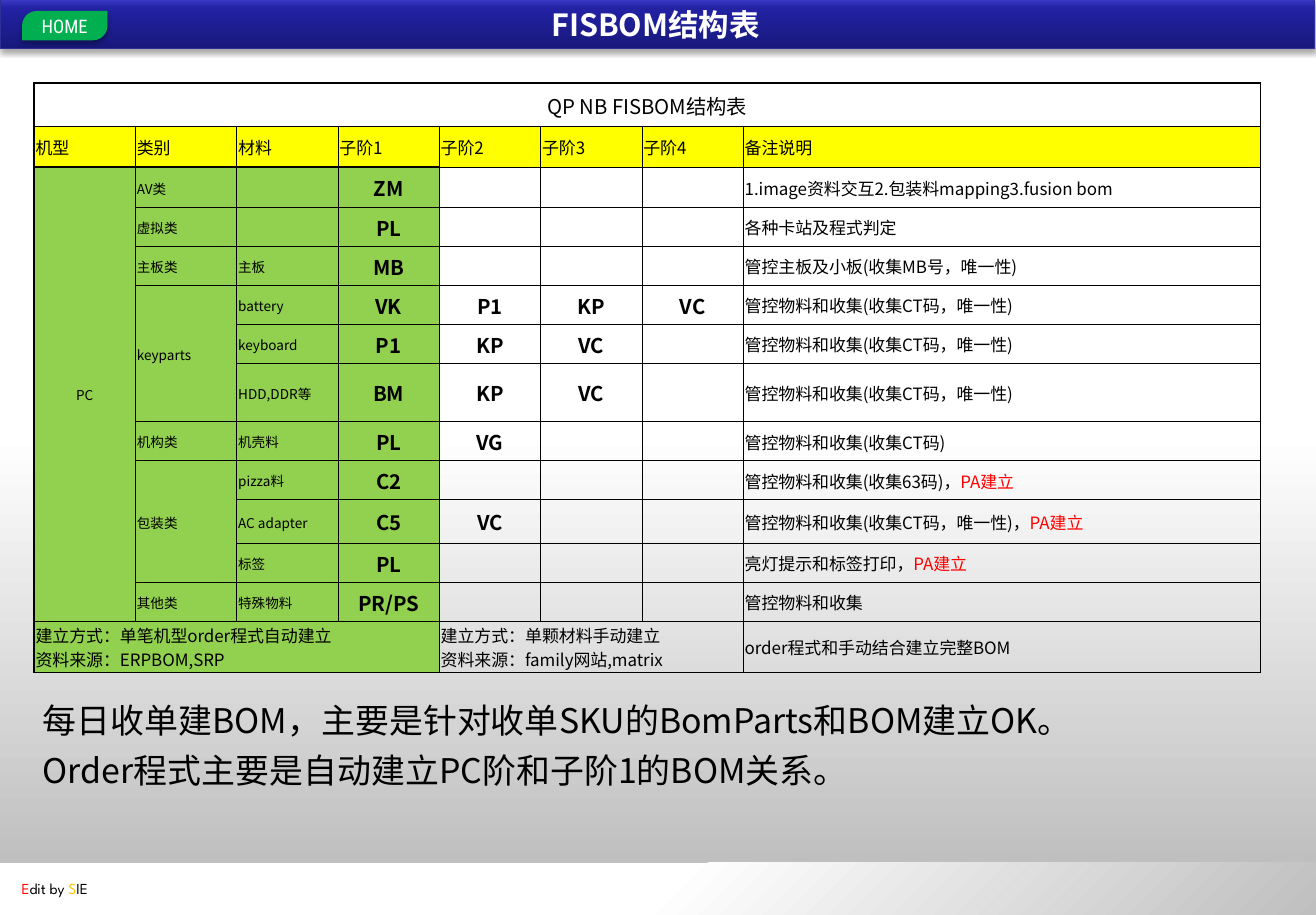
from lxml.etree import SubElement
from pptx import Presentation
from pptx.dml.color import RGBColor
from pptx.enum.shapes import MSO_SHAPE
from pptx.enum.text import MSO_ANCHOR, PP_ALIGN
from pptx.oxml import parse_xml
from pptx.oxml.ns import nsdecls, qn
from pptx.util import Cm, Pt

COLORS = {
    "black": "000000", "white": "FFFFFF", "red": "FF0000", "gold": "FFC000",
    "yellow": "FFFF00", "lime": "92D050", "button": "00B050", "gray": "BFBFBF",
    "navy": "18187C", "blue": "2222A3", "bright": "3C3CCB", "outline": "2F2F98",
}
FONT = "Noto Sans CJK SC"
TITLE = "FISBOM结构表"
FOOTER = [("E", "red"), ("dit by ", "black"), ("S", "gold"), ("IE", "black")]
NOTES = [
    "每日收单建BOM，主要是针对收单SKU的BomParts和BOM建立OK。",
    "Order程式主要是自动建立PC阶和子阶1的BOM关系。",
]
RED_TEXT = "PA建立"
UNIQUE_CT = "管控物料和收集(收集CT码，唯一性)"
ROWS = [
    ["QP NB FISBOM结构表", "", "", "", "", "", "", ""],
    ["机型", "类别", "材料", "子阶1", "子阶2", "子阶3", "子阶4", "备注说明"],
    ["PC", "AV类", "", "ZM", "", "", "", "1.image资料交互2.包装料mapping3.fusion bom"],
    ["", "虚拟类", "", "PL", "", "", "", "各种卡站及程式判定"],
    ["", "主板类", "主板", "MB", "", "", "", "管控主板及小板(收集MB号，唯一性)"],
    ["", "keyparts", "battery", "VK", "P1", "KP", "VC", UNIQUE_CT],
    ["", "", "keyboard", "P1", "KP", "VC", "", UNIQUE_CT],
    ["", "", "HDD,DDR等", "BM", "KP", "VC", "", UNIQUE_CT],
    ["", "机构类", "机壳料", "PL", "VG", "", "", "管控物料和收集(收集CT码)"],
    ["", "包装类", "pizza料", "C2", "", "", "", "管控物料和收集(收集63码)，PA建立"],
    ["", "", "AC adapter", "C5", "VC", "", "", UNIQUE_CT + "，PA建立"],
    ["", "", "标签", "PL", "", "", "", "亮灯提示和标签打印，PA建立"],
    ["", "其他类", "特殊物料", "PR/PS", "", "", "", "管控物料和收集"],
    ["建立方式：单笔机型order程式自动建立\n资料来源：ERPBOM,SRP", "", "", "",
     "建立方式：单颗材料手动建立\n资料来源：family网站,matrix", "", "",
     "order程式和手动结合建立完整BOM"],
]
MERGES = [((0, 0), (0, 7)), ((2, 0), (12, 0)), ((5, 1), (7, 1)),
          ((9, 1), (11, 1)), ((13, 0), (13, 3)), ((13, 4), (13, 6))]
COLUMN_WIDTHS = [2.11] * 7 + [10.77]
ROW_HEIGHTS = [0.91, 0.84, 0.84, 0.81, 0.81, 0.81, 0.81,
               1.22, 0.81, 0.81, 0.91, 0.81, 0.81, 1.07]
LAST_ROW, LAST_COLUMN = len(ROWS) - 1, len(COLUMN_WIDTHS) - 1


def rgb(name):
    return RGBColor.from_string(COLORS[name])


def set_font(para, size, color="black", bold=False, name=FONT):
    font = para.font
    font.size, font.bold, font.name = Pt(size), bold, name
    font.color.rgb = rgb(color)
    SubElement(para._p.pPr.find(qn("a:defRPr")), qn("a:ea"), typeface=name)


def add_panel(page, kind, left, top, width, height):
    panel = page.shapes.add_shape(kind, Cm(left), Cm(top), Cm(width), Cm(height))
    panel.shadow.inherit = False
    panel.line.fill.background()
    return panel


def set_gradient(panel, stops, direction):
    marks = "".join(f'<a:gs pos="{position * 1000}"><a:srgbClr val="{COLORS[color]}"/></a:gs>'
                    for position, color in stops)
    gradient = parse_xml(f'<a:gradFill {nsdecls("a")} rotWithShape="1">'
                         f'<a:gsLst>{marks}</a:gsLst>{direction}</a:gradFill>')
    panel._element.spPr.insert(2, gradient)


def set_shadow(panel, blur, distance, opacity):
    effects = panel._element.spPr.find(qn("a:effectLst"))
    shadow = SubElement(effects, qn("a:outerShdw"), blurRad=str(Pt(blur)),
                        dist=str(Pt(distance)), dir="5400000", rotWithShape="0")
    color = SubElement(shadow, qn("a:srgbClr"), val=COLORS["black"])
    SubElement(color, qn("a:alpha"), val=str(opacity * 1000))


def add_frame(page):
    """Add the background, footer, header bar and home button."""
    upward = '<a:lin ang="16200000" scaled="0"/>'
    corner = '<a:path path="circle"><a:fillToRect l="100000" t="100000"/></a:path>'
    fade = [(0, "gray"), (50, "white")]
    body = add_panel(page, MSO_SHAPE.RECTANGLE, 0, 0, 27.41, 18.03)
    set_gradient(body, fade, upward)
    strip = add_panel(page, MSO_SHAPE.RECTANGLE, 0, 17.96, 27.41, 1.19)
    set_gradient(strip, fade, corner)

    footer = page.shapes.add_textbox(Cm(0.2), Cm(18.19), Cm(4.7), Cm(0.61))
    footer.text_frame.word_wrap = True
    para = footer.text_frame.paragraphs[0]
    set_font(para, 9, name="League Spartan")
    for text, color in FOOTER:
        span = para.add_run()
        span.text = text
        span.font.color.rgb = rgb(color)

    header = add_panel(page, MSO_SHAPE.RECTANGLE, 0, -0.03, 27.38, 1.04)
    set_gradient(header, [(0, "navy"), (80, "blue"), (100, "bright")], upward)
    header.line.color.rgb = rgb("outline")
    header.line.width = Pt(0.75)
    set_shadow(header, 3.1, 1.8, 35)

    button = add_panel(page, MSO_SHAPE.ROUND_2_DIAG_RECTANGLE, 0.46, 0.23, 1.78, 0.61)
    button.adjustments[0], button.adjustments[1] = 0.5, 0
    button.fill.solid()
    button.fill.fore_color.rgb = rgb("button")
    set_shadow(button, 3.5, 2.2, 32)
    button.text_frame.text = "HOME"
    button.text_frame.vertical_anchor = MSO_ANCHOR.MIDDLE
    para = button.text_frame.paragraphs[0]
    para.alignment = PP_ALIGN.CENTER
    set_font(para, 11, "white", name="Roboto Condensed")


def set_borders(cell, row, column):
    """Draw thin borders, heavier around the table and the green block."""
    bottom, right = row + cell.span_height - 1, column + cell.span_width - 1
    heavy = {
        "a:lnL": column == 0 or (column == 4 and row > 1),
        "a:lnR": right == LAST_COLUMN or (right == 3 and row > 1),
        "a:lnT": row == 0 or (row == 2 and column < 4),
        "a:lnB": bottom == LAST_ROW or (row == 1 and column < 4),
    }
    for tag, is_heavy in heavy.items():
        line = SubElement(cell._tc.get_or_add_tcPr(), qn(tag), w=str(Pt(1 if is_heavy else 0.5)))
        fill = SubElement(line, qn("a:solidFill"))
        SubElement(fill, qn("a:srgbClr"), val=COLORS["black"])


def text_style(row, column):
    """Return size, bold and centred for a cell."""
    if row == 0:
        return 12, False, True
    if row in (1, LAST_ROW) or column == LAST_COLUMN:
        return 10, False, False
    if column < 3:
        return 8, False, column == 0
    return 12, True, True


def fill_cell(cell, row, column, text):
    set_borders(cell, row, column)
    if row == 1 or (row > 1 and column < 4):
        cell.fill.solid()
        cell.fill.fore_color.rgb = rgb("yellow" if row == 1 else "lime")
    else:
        cell.fill.background()
    cell.margin_left = cell.margin_right = cell.margin_top = Cm(0.03)
    cell.margin_bottom = 0
    cell.vertical_anchor = MSO_ANCHOR.MIDDLE
    plain, red, _ = text.partition(RED_TEXT)
    cell.text = plain
    size, bold, centred = text_style(row, column)
    for para in cell.text_frame.paragraphs:
        para.alignment = PP_ALIGN.CENTER if centred else PP_ALIGN.LEFT
        set_font(para, size, bold=bold)
        if red:
            span = para.add_run()
            span.text = red
            span.font.color.rgb = rgb("red")
        if not text:
            SubElement(para._p, qn("a:endParaRPr"), sz=str(size * 100))


def add_structure_table(page):
    frame = page.shapes.add_table(len(ROWS), len(COLUMN_WIDTHS), Cm(0.71), Cm(1.73),
                                  Cm(sum(COLUMN_WIDTHS)), Cm(sum(ROW_HEIGHTS)))
    table = frame.table
    table.first_row = table.horz_banding = False
    for column, width in zip(table.columns, COLUMN_WIDTHS):
        column.width = Cm(width)
    for row, height in zip(table.rows, ROW_HEIGHTS):
        row.height = Cm(height)
    for first, last in MERGES:
        table.cell(*first).merge(table.cell(*last))
    for row, texts in enumerate(ROWS):
        for column, text in enumerate(texts):
            fill_cell(table.cell(row, column), row, column, text)


def set_title(page):
    title = page.shapes.title
    title.left, title.top, title.width, title.height = Cm(7.29), Cm(0.05), Cm(12.73), Cm(0.91)
    title.text_frame.text = TITLE
    title.text_frame.vertical_anchor = MSO_ANCHOR.MIDDLE
    para = title.text_frame.paragraphs[0]
    para.alignment = PP_ALIGN.CENTER
    set_font(para, 18, "white", bold=True)
    page.shapes._spTree.append(title._element)


def add_notes(page):
    box = page.shapes.add_textbox(Cm(0.89), Cm(14.73), Cm(22.2), Cm(2.13))
    frame = box.text_frame
    frame.word_wrap = True
    frame.margin_left = frame.margin_right = frame.margin_top = frame.margin_bottom = 0
    frame.text = "\n".join(NOTES)
    for index, para in enumerate(frame.paragraphs):
        para.line_spacing = 0.8
        para.space_before = Pt(10 if index else 0)
        set_font(para, 20)


def main():
    deck = Presentation()
    deck.slide_width, deck.slide_height = Cm(27.41), Cm(19.05)
    page = deck.slides.add_slide(deck.slide_layouts[5])
    add_frame(page)
    add_structure_table(page)
    set_title(page)
    add_notes(page)
    deck.save("out.pptx")


if __name__ == "__main__":
    main()
